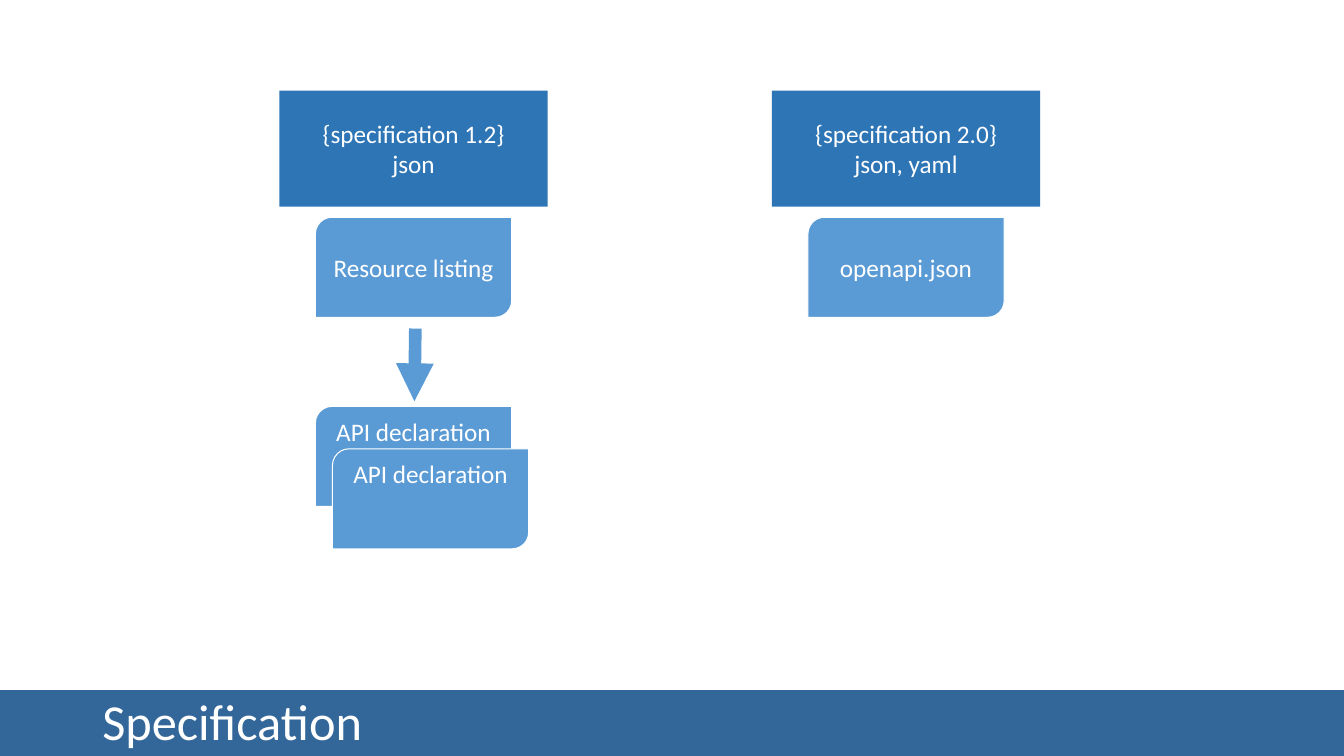
"""Build a slide comparing the files of two specification versions."""
from lxml.etree import SubElement
from pptx import Presentation
from pptx.dml.color import RGBColor
from pptx.enum.shapes import MSO_CONNECTOR, MSO_SHAPE
from pptx.enum.text import MSO_ANCHOR as ANCHOR, PP_ALIGN as ALIGN
from pptx.oxml.ns import qn
from pptx.util import Pt

TITLE = "Specification"
COLUMNS = [
    {"centre": 295.4, "heading": ["{specification 1.2}", "json"], "file": "Resource listing"},
    {"centre": 647.2, "heading": ["{specification 2.0}", "json, yaml"], "file": "openapi.json"},
]
DECLARATIONS = ["API declaration", "API declaration"]
COLORS = {"bar": "336699", "heading": "2E75B6", "file": "5B9BD5", "white": "FFFFFF"}
FONT = "Calibri"

SLIDE_W, SLIDE_H = 960, 540
BAR_TOP, BAR_H = 493, 47
HEADING_TOP, HEADING_W, HEADING_H = 64.8, 191.5, 82.8
FILE_TOP, FILE_W, FILE_H = 155.2, 140.2, 71.5
DECLARATION_TOP, STEP_X, STEP_Y = 290.3, 12.2, 30.3
ARROW_FROM, ARROW_TO = (296.7, 234.7), (296, 286.6)


def color(name):
    return RGBColor.from_string(COLORS[name])


def write(box, lines, size=18, align=ALIGN.CENTER, anchor=ANCHOR.MIDDLE, spacing=1.0):
    frame = box.text_frame
    frame.word_wrap = True
    frame.vertical_anchor = anchor
    for index, line in enumerate(lines):
        para = frame.add_paragraph() if index else frame.paragraphs[0]
        para.alignment = align
        para.line_spacing = spacing
        span = para.add_run()
        span.text = line
        span.font.name = FONT
        span.font.size = Pt(size)
        span.font.color.rgb = color("white")


def add_box(page, kind, left, top, width, height, fill, line=None):
    box = page.shapes.add_shape(kind, Pt(left), Pt(top), Pt(width), Pt(height))
    box.shadow.inherit = False
    box.fill.solid()
    box.fill.fore_color.rgb = color(fill)
    if line:
        box.line.color.rgb = color(line)
        box.line.width = Pt(0.75)
    else:
        box.line.fill.background()
    return box


def add_file(page, centre, top, text, anchor=ANCHOR.MIDDLE):
    box = add_box(page, MSO_SHAPE.ROUND_2_DIAG_RECTANGLE, centre - FILE_W / 2, top,
                  FILE_W, FILE_H, "file", line="white")
    write(box, [text], anchor=anchor)


def add_arrow(page, start, end):
    arrow = page.shapes.add_connector(MSO_CONNECTOR.STRAIGHT, *map(Pt, start + end))
    arrow.line.color.rgb = color("file")
    arrow.line.width = Pt(9)
    SubElement(arrow.line._get_or_add_ln(), qn("a:tailEnd"), type="triangle")
    SubElement(arrow._element.spPr, qn("a:effectLst"))


deck = Presentation()
deck.slide_width, deck.slide_height = Pt(SLIDE_W), Pt(SLIDE_H)
page = deck.slides.add_slide(deck.slide_layouts[6])

add_box(page, MSO_SHAPE.RECTANGLE, 0, BAR_TOP, SLIDE_W, BAR_H, "bar")
title = page.shapes.add_textbox(Pt(66), Pt(BAR_TOP), Pt(828), Pt(49))
write(title, [TITLE], size=36, align=ALIGN.LEFT, spacing=0.9)

for column in COLUMNS:
    centre = column["centre"]
    heading = add_box(page, MSO_SHAPE.RECTANGLE, centre - HEADING_W / 2, HEADING_TOP,
                      HEADING_W, HEADING_H, "heading")
    write(heading, column["heading"])
    add_file(page, centre, FILE_TOP, column["file"])

for index, text in enumerate(DECLARATIONS):
    add_file(page, COLUMNS[0]["centre"] + index * STEP_X,
             DECLARATION_TOP + index * STEP_Y, text, anchor=ANCHOR.TOP)

add_arrow(page, ARROW_FROM, ARROW_TO)
deck.save("out.pptx")
